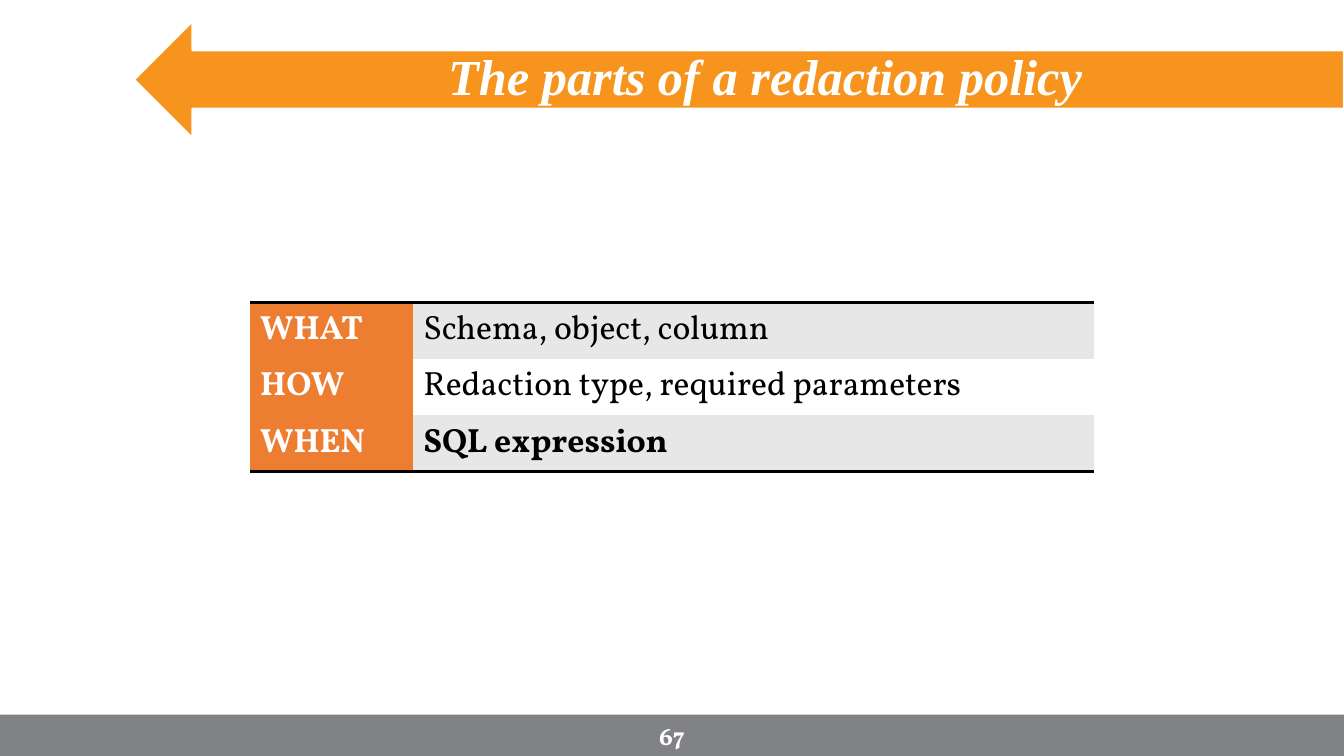
from lxml import etree
from pptx import Presentation
from pptx.dml.color import RGBColor
from pptx.enum.shapes import MSO_SHAPE
from pptx.enum.text import MSO_ANCHOR, PP_ALIGN
from pptx.oxml.ns import qn
from pptx.util import Inches, Pt

ARROW, RECT = MSO_SHAPE.LEFT_ARROW, MSO_SHAPE.RECTANGLE
MIDDLE = MSO_ANCHOR.MIDDLE
LEFT, CENTER = PP_ALIGN.LEFT, PP_ALIGN.CENTER
WHITE = RGBColor(0xFF, 0xFF, 0xFF)
BLACK = RGBColor(0, 0, 0)
AMBER = RGBColor(0xF7, 0x94, 0x1D)
ORANGE = RGBColor(0xED, 0x7D, 0x31)
GRAY = RGBColor(0x81, 0x82, 0x86)
BAND = RGBColor(0xE7, 0xE7, 0xE7)
BODY_FONT, TITLE_FONT = "Vollkorn", "Times New Roman"
PLAIN_TABLE = "{2D5ABB26-0587-4C30-8999-92F81FD0307C}"

POLICY_PARTS = [
    ("WHAT", "Schema, object, column", False),
    ("HOW", "Redaction type, required parameters", False),
    ("WHEN", "SQL expression", True),
]


def write(tf, text, font=BODY_FONT, size=24, color=WHITE, bold=True,
          italic=False, align=LEFT, spacing=1.0):
    """Write one formatted paragraph into a text frame."""
    p = tf.paragraphs[0]
    p.alignment = align
    p.line_spacing = spacing
    r = p.add_run()
    r.text = text
    r.font.name = font
    r.font.size = Pt(size)
    r.font.color.rgb = color
    r.font.bold = bold
    r.font.italic = italic


def add_block(s, kind, x, y, w, h, fill):
    """Add a filled preset shape without outline or shadow."""
    sp = s.shapes.add_shape(kind, Inches(x), Inches(y), Inches(w), Inches(h))
    sp.shadow.inherit = False
    sp.fill.solid()
    sp.fill.fore_color.rgb = fill
    sp.line.fill.background()
    return sp


def add_label(s, text, x, y, w, h, **style):
    """Add a vertically centred text box."""
    sp = s.shapes.add_textbox(Inches(x), Inches(y), Inches(w), Inches(h))
    tf = sp.text_frame
    tf.word_wrap = True
    tf.vertical_anchor = MIDDLE
    write(tf, text, align=CENTER, **style)


def set_rule(cell, side, width=2):
    """Draw a black border on one side of a table cell."""
    ln = etree.Element(qn(f"a:{side}"), w=str(Pt(width)))
    fill = etree.SubElement(ln, qn("a:solidFill"))
    etree.SubElement(fill, qn("a:srgbClr"), val=str(BLACK))
    cell._tc.get_or_add_tcPr().insert(0, ln)


def add_header(s, x, y, w, h):
    """Add the arrow banner and the slide title on it."""
    sp = add_block(s, ARROW, x, y, w, h, AMBER)
    sp.line.color.rgb = WHITE
    sp.line.width = Pt(1.5)
    add_label(s, "The parts of a redaction policy", x + 0.33, y + 0.22,
              w - 0.14, h - 0.44, font=TITLE_FONT, size=36, italic=True,
              spacing=0.9)


def add_policy_table(s, x, y, w, h, key_width=1.62):
    """Add the table that lists the parts of a policy."""
    rows = len(POLICY_PARTS)
    frame = s.shapes.add_table(rows, 2, Inches(x), Inches(y), Inches(w), Inches(h))
    table = frame.table
    table.first_row = False
    table.horz_banding = False
    table.first_col = True
    table._tbl.tblPr.find(qn("a:tableStyleId")).text = PLAIN_TABLE
    table.columns[0].width = Inches(key_width)
    table.columns[1].width = Inches(w - key_width)
    for i, (key, value, bold) in enumerate(POLICY_PARTS):
        cells = (
            (key, WHITE, True, ORANGE),
            (value, BLACK, bold, WHITE if i % 2 else BAND),
        )
        for j, (text, color, strong, fill) in enumerate(cells):
            cell = table.cell(i, j)
            cell.fill.solid()
            cell.fill.fore_color.rgb = fill
            write(cell.text_frame, text, color=color, bold=strong)
            if i == 0:
                set_rule(cell, "lnT")
            if i == rows - 1:
                set_rule(cell, "lnB")


def add_footer(s, x, y, w, h, number_width=0.75):
    """Add the footer bar with the slide number in its middle."""
    add_block(s, RECT, x, y, w, h, GRAY)
    add_label(s, "67", x + (w - number_width) / 2, y, number_width, h, size=18)


def main():
    """Build the slide and save it."""
    prs = Presentation()
    prs.slide_width = Inches(13.33)
    prs.slide_height = Inches(7.5)
    s = prs.slides.add_slide(prs.slide_layouts[6])
    add_header(s, 1.33, 0.21, 12, 1.16)
    add_policy_table(s, 2.48, 3, 8.37, 1.68)
    add_footer(s, 0, 7.09, 13.33, 0.41)
    prs.save("out.pptx")


if __name__ == "__main__":
    main()
